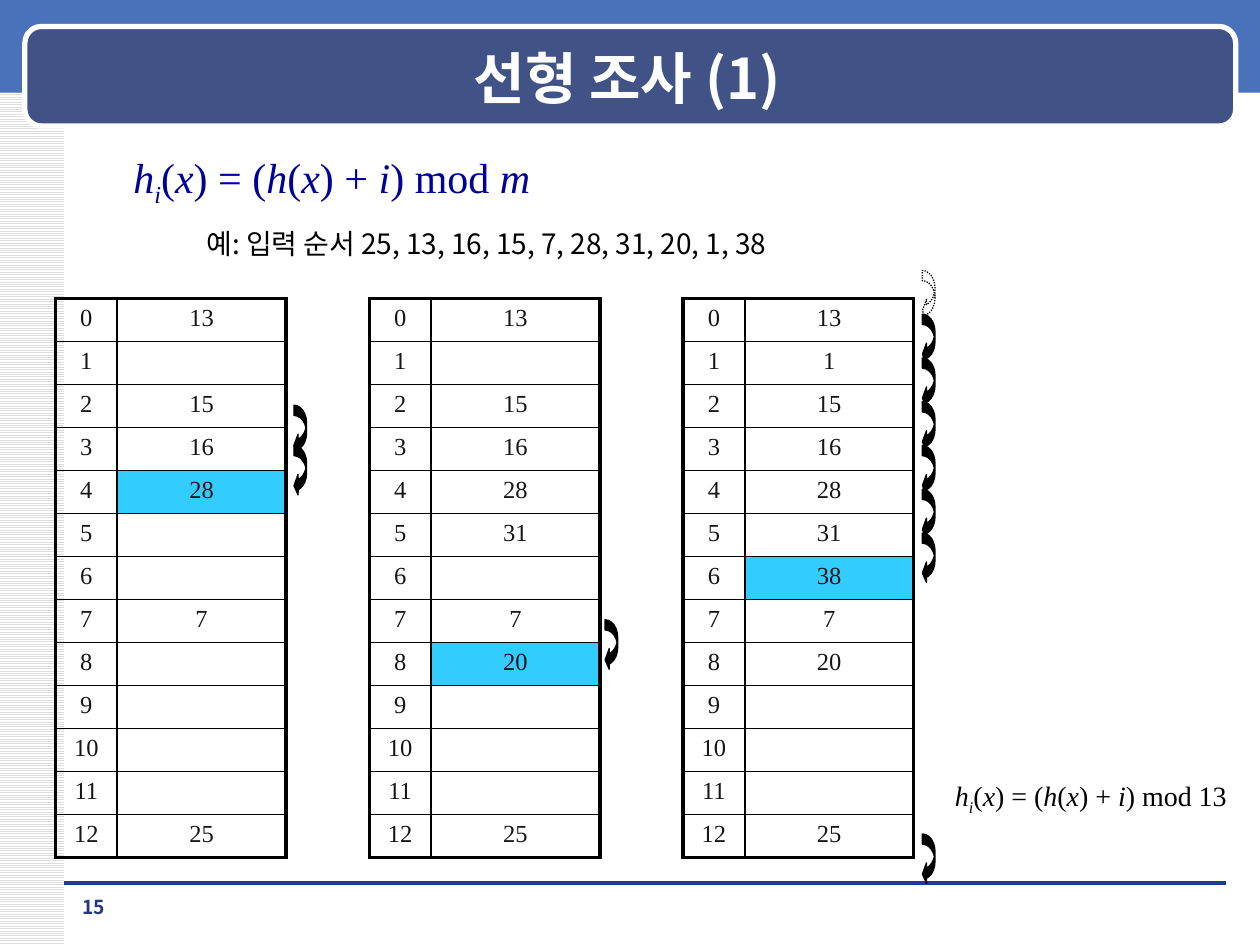
from lxml.etree import SubElement as Sub
from pptx import Presentation
from pptx.dml.color import RGBColor
from pptx.enum.dml import MSO_LINE as Dash, MSO_PATTERN as Pat
from pptx.enum.shapes import MSO_CONNECTOR as Conn, MSO_SHAPE as Geo
from pptx.enum.text import MSO_ANCHOR as Anchor, PP_ALIGN as Align
from pptx.oxml.ns import qn
from pptx.util import Pt

HUES = {
    "white": "FFFFFF", "black": "000000", "stripe": "DDDDDD",
    "band": "4972BB", "title": "405286", "rule": "1A3D97",
    "page": "23387D", "math": "000099", "cell": "161616", "mark": "33CCFF",
}
SANS, SERIF = "Noto Sans CJK KR", "Times New Roman"
HASH = [("h", "i"), ("i", "sub"), ("(", ""), ("x", "i"), (") = (", ""),
        ("h", "i"), ("(", ""), ("x", "i"), (") + ", ""), ("i", "i")]
ROWS, ROW = 13, 24.59
COLS = (35.3, 96.5)


def hue(name):
    return RGBColor.from_string(HUES[name])


def add_run(para, text, size, font, color, style=""):
    run = para.add_run()
    run.text = text
    face = run.font
    face.size, face.name, face.color.rgb = Pt(size), font, hue(color)
    face.bold = style == "b"
    face.italic = style in ("i", "sub")
    props = run._r.get_or_add_rPr()
    Sub(props, qn("a:ea"), typeface=font)
    if style == "sub":
        props.set("baseline", "-25000")


def add_text(slide, box, runs, size, font, color, align=Align.LEFT,
             wrap=False, anchor=Anchor.TOP):
    frame = slide.shapes.add_textbox(*map(Pt, box)).text_frame
    frame.word_wrap, frame.vertical_anchor = wrap, anchor
    para = frame.paragraphs[0]
    para.alignment = align
    for text, style in runs:
        add_run(para, text, size, font, color, style)


def add_form(slide, geo, box, fill=None, line=None, width=0.75):
    form = slide.shapes.add_shape(geo, *map(Pt, box))
    form.shadow.inherit = False
    if fill:
        form.fill.solid()
        form.fill.fore_color.rgb = hue(fill)
    else:
        form.fill.background()
    if line:
        form.line.color.rgb = hue(line)
        form.line.width = Pt(width)
    else:
        form.line.fill.background()
    return form


def add_frame(slide, wide, high):
    side = add_form(slide, Geo.RECTANGLE, (0, 0, 36.7, high))
    side.fill.patterned()
    side.fill.pattern = Pat.LIGHT_HORIZONTAL
    side.fill.fore_color.rgb = hue("stripe")
    side.fill.back_color.rgb = hue("white")
    add_form(slide, Geo.RECTANGLE, (0, -2, wide, 54.9), "band")
    rule = slide.shapes.add_connector(
        Conn.STRAIGHT, Pt(36.7), Pt(504.7), Pt(700.6), Pt(504.7))
    rule.line.color.rgb = hue("rule")
    rule.line.width = Pt(0)
    Sub(rule._element.spPr, qn("a:effectLst"))
    add_form(slide, Geo.ROUNDED_RECTANGLE, (14.2, 15.1, 691.9, 56.9),
             "title", "white", 3)
    add_text(slide, (51, 21.6, 615, 44.6), [("선형 조사 (1)", "b")], 32, SANS,
             "white", Align.CENTER, True, Anchor.MIDDLE)
    add_text(slide, (36.7, 508.3, 33.8, 19.4), [("15", "b")], 11, SANS,
             "page", Align.CENTER, True)


def add_edges(cell, row, col):
    props = cell._tc.get_or_add_tcPr()
    thick = {"L": col == 0, "R": col == 1, "T": row == 0, "B": row == ROWS - 1}
    for side, outer in thick.items():
        edge = Sub(props, qn("a:ln" + side), w=str(Pt(2.25 if outer else 1)))
        paint = Sub(edge, qn("a:solidFill"))
        Sub(paint, qn("a:srgbClr"), val=HUES["black"])


def add_cell(cell, row, col, text, mark):
    add_edges(cell, row, col)
    cell.margin_top, cell.margin_bottom = Pt(0), Pt(2)
    cell.vertical_anchor = Anchor.MIDDLE
    if mark:
        cell.fill.solid()
        cell.fill.fore_color.rgb = hue("mark")
    else:
        cell.fill.background()
    para = cell.text_frame.paragraphs[0]
    para.alignment = Align.CENTER
    if text:
        add_run(para, text, 14, SERIF, "cell")


def add_hash(slide, left, top, keys, mark):
    grid = slide.shapes.add_table(
        ROWS, 2, Pt(left), Pt(top), Pt(sum(COLS)), Pt(ROWS * ROW)).table
    grid.first_row = grid.horz_banding = False
    for col, wide in enumerate(COLS):
        grid.columns[col].width = Pt(wide)
    for row in range(ROWS):
        grid.rows[row].height = Pt(ROW)
        add_cell(grid.cell(row, 0), row, 0, str(row), False)
        add_cell(grid.cell(row, 1), row, 1, str(keys.get(row, "")), row == mark)


def add_hop(slide, left, top, ghost=False):
    hop = add_form(slide, Geo.CURVED_LEFT_ARROW, (left, top, 7.2, 28.8),
                   None if ghost else "black", "black")
    for spot, value in enumerate((0.81, 1.63, 0.33)):
        hop.adjustments[spot] = value
    if ghost:
        hop.line.dash_style = Dash.ROUND_DOT


def add_probes(slide, left, top):
    start = {0: 13, 2: 15, 3: 16, 4: 28, 7: 7, 12: 25}
    more = {**start, 5: 31, 8: 20}
    full = {**more, 1: 1, 6: 38}
    chain = [-16 + 25 * step for step in range(7)]
    steps = [
        (start, 4, 4.5, [61, 84]),
        (more, 8, 3, [183.6]),
        (full, 6, 5, [306] + chain[::-1]),
    ]
    for spot, (keys, mark, gap, tops) in enumerate(steps):
        edge = left + spot * 179.3
        add_hash(slide, edge, top, keys, mark)
        for drop in tops:
            add_hop(slide, edge + sum(COLS) + gap, top + drop, drop < 0)


def main():
    deck = Presentation()
    deck.slide_width, deck.slide_height = Pt(720), Pt(540)
    slide = deck.slides.add_slide(deck.slide_layouts[6])
    add_frame(slide, 720, 540)
    add_text(slide, (69.1, 82.8, 244, 36), HASH + [(") mod", ""), (" m", "i")],
             24, SERIF, "math")
    add_text(slide, (110.9, 126, 360, 26.6),
             [("예: 입력 순서 25, 13, 16, 15, 7, 28, 31, 20, 1, 38", "")],
             16, SANS, "black")
    add_probes(slide, 31.7, 170.6)
    add_text(slide, (538.6, 441.4, 171.4, 26.6), HASH + [(") mod 13", "")],
             16, SERIF, "black")
    deck.save("out.pptx")


if __name__ == "__main__":
    main()
